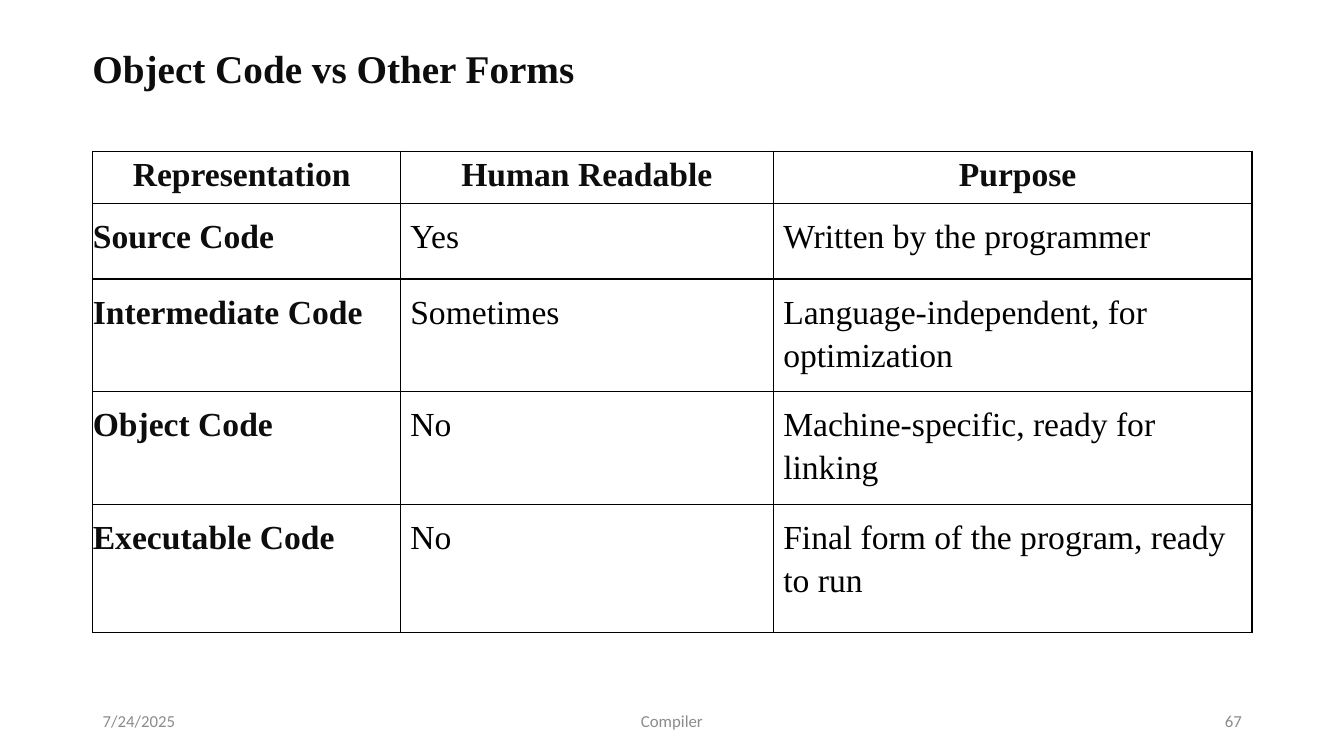
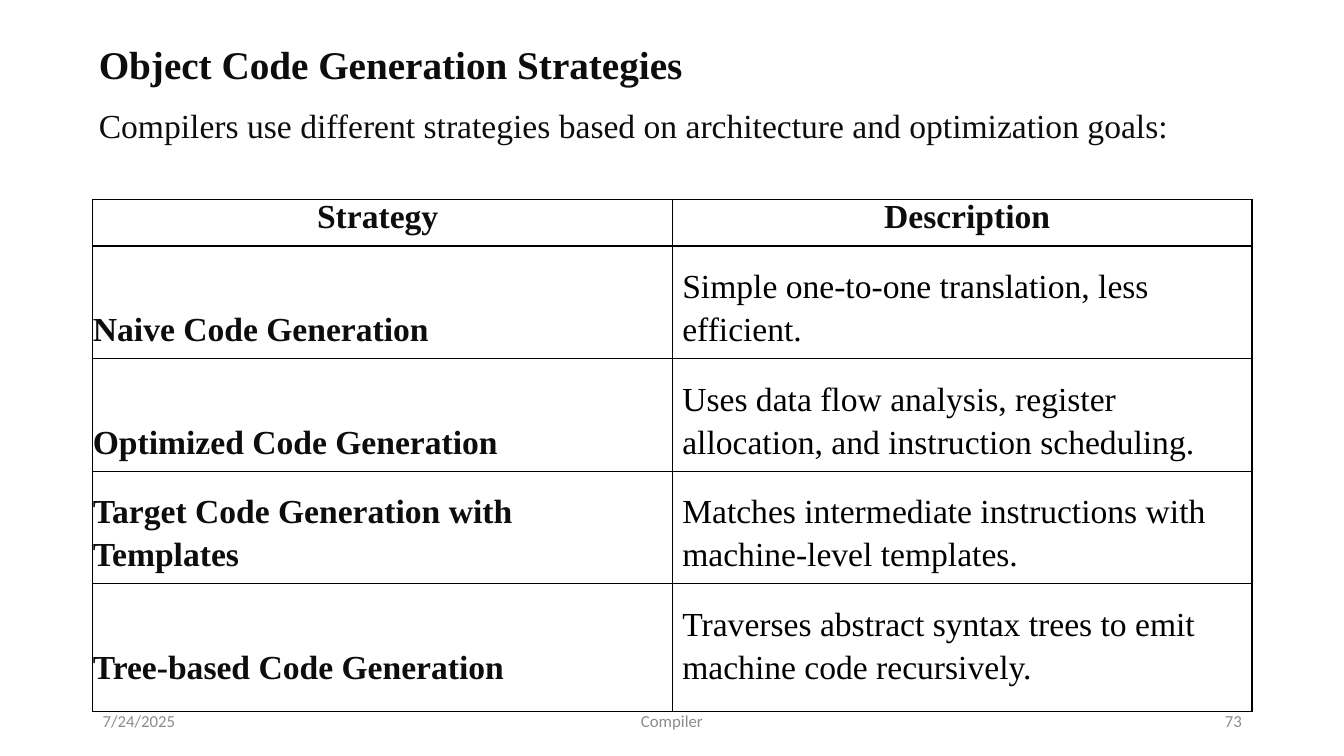
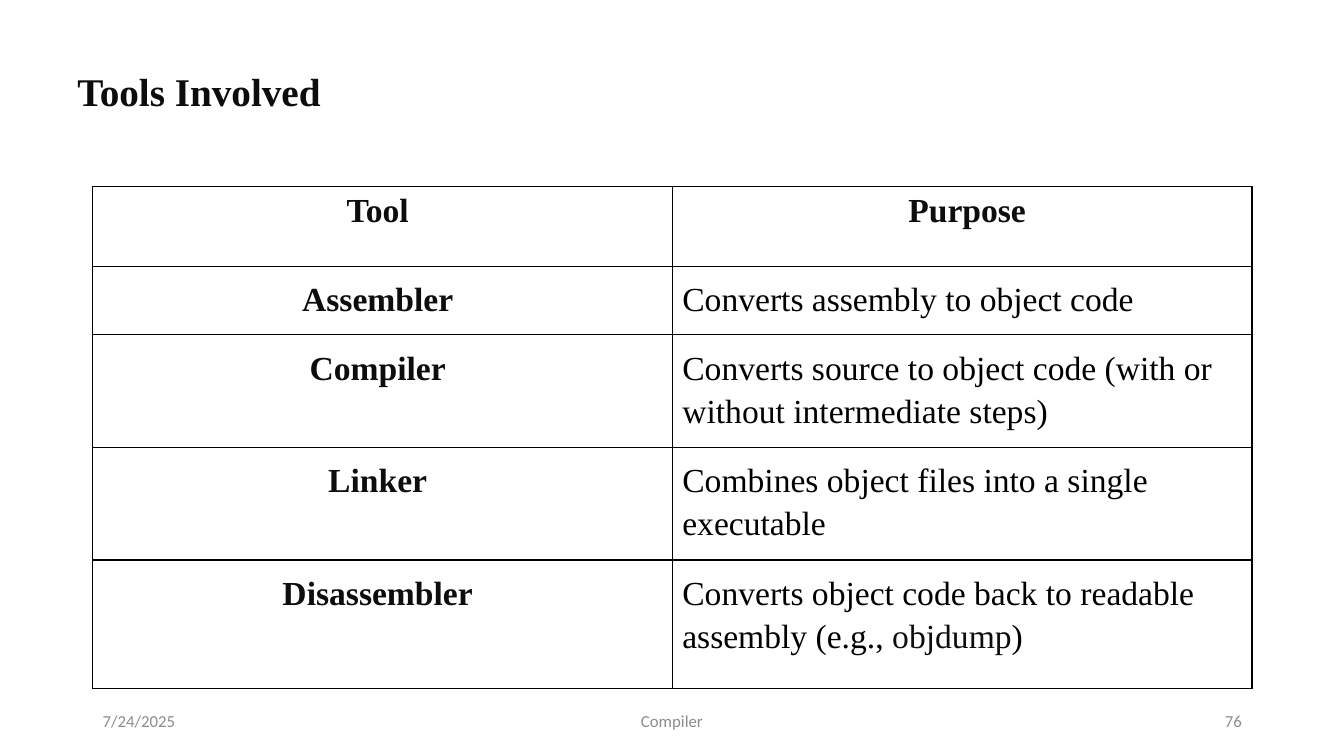
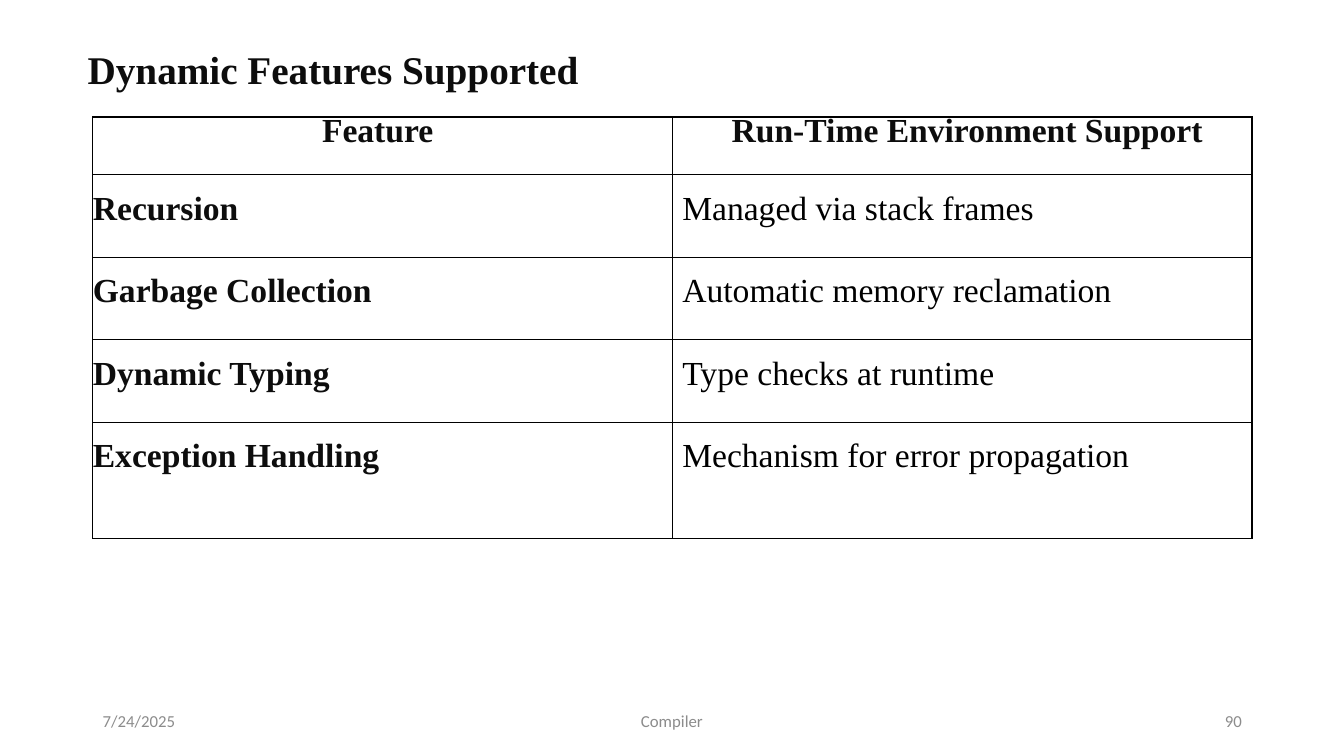
from dataclasses import dataclass
from typing import Any

from pptx import Presentation
from pptx import util as u
from pptx.dml.color import RGBColor
from pptx.enum import text
from pptx.oxml import parse_xml
from pptx.oxml.ns import nsdecls
from pptx.slide import Slide
from pptx.table import _Cell

# Shared look
INK = RGBColor(0x0D, 0x0D, 0x0D)
BLACK = RGBColor(0, 0, 0)
GREY = RGBColor(0x8C, 0x8C, 0x8C)
SERIF, SANS = "Times New Roman", "Calibri"
TOP, MIDDLE, BOTTOM = (text.MSO_ANCHOR.TOP, text.MSO_ANCHOR.MIDDLE,
                       text.MSO_ANCHOR.BOTTOM)
LEFT, CENTER, RIGHT = (text.PP_ALIGN.LEFT, text.PP_ALIGN.CENTER,
                       text.PP_ALIGN.RIGHT)

# Shared geometry, in centimetres
SLIDE_W, SLIDE_H = 33.87, 19.05
MARGIN = 2.34
TABLE_W = 29.21
PAD, LAST_PAD = 0.25, 0.64

# Text formats
TITLE = dict(size=u.Pt(28), name=SERIF, bold=True)
STRONG = dict(size=u.Pt(24), name=SERIF, bold=True)
PLAIN = dict(size=u.Pt(24), name=SERIF, bold=False)
FOOTER = dict(size=u.Pt(12), name=SANS, bold=False)
LOOSE = dict(line_spacing=1.15, space_after=u.Pt(8))
TIGHT = dict(line_spacing=u.Pt(12), space_after=u.Pt(8))


@dataclass
class Heading:
    box: tuple[float, float, float, float]
    title: str
    subtitle: str = ""
    spacing: dict[str, Any] | None = None


@dataclass
class Grid:
    top: float
    height: float
    cols: tuple[float, ...]
    rows: tuple[float, float, float]  # header, middle rows, last row
    cells: list[tuple[str, ...]]      # bars set off a word in ink colour
    head_anchor: Any = MIDDLE
    body_anchor: Any = TOP
    label_align: Any = LEFT


@dataclass
class Page:
    number: int
    heading: Heading
    grid: Grid


HALVES = (TABLE_W / 2, TABLE_W / 2)

PAGES = [
    Page(67, Heading((2.08, 0.99, 16.94, 1.45), "Object Code vs Other Forms"),
         Grid(3.81, 11.86, (7.75, 9.4, 12.06), (1.32, 1.9, 2.69), [
             ("Representation", "Human Readable", "Purpose"),
             ("Source Code", "Yes", "Written by the programmer"),
             ("Intermediate Code", "Sometimes",
              "Language-independent, for optimization"),
             ("Object Code", "No", "Machine-specific, ready for linking"),
             ("Executable Code", "No",
              "Final form of the program, ready to run"),
         ], head_anchor=BOTTOM)),
    Page(73, Heading((2.24, 0.71, 28.32, 3.02),
                     "Object Code Generation Strategies",
                     "Compilers use different strategies based on "
                     "architecture and optimization goals:", LOOSE),
         Grid(5.03, 12.52, HALVES, (1.17, 1.68, 2.36), [
             ("Strategy", "Description"),
             ("Naive Code Generation",
              "Simple one-to-one translation, less efficient."),
             ("Optimized Code Generation",
              "Uses data flow analysis, register allocation, "
              "and instruction scheduling."),
             ("Target Code Generation with Templates",
              "Matches intermediate instructions with "
              "machine-level templates."),
             ("Tree-based Code Generation",
              "Traverses abstract syntax trees to emit "
              "machine code recursively."),
         ], head_anchor=BOTTOM, body_anchor=BOTTOM)),
    Page(76, Heading((1.7, 1.4, 16.94, 1.55), "Tools Involved",
                     spacing=LOOSE),
         Grid(4.7, 12.32, HALVES, (2.01, 1.73, 2.44), [
             ("Tool", "Purpose"),
             ("Assembler", "Converts assembly to object code"),
             ("Compiler", "Converts source to object code "
                          "(with or without intermediate steps)"),
             ("Linker", "Combines object files into a single executable"),
             ("Disassembler", "Converts object code back to readable "
                              "assembly (e.g., |objdump|)"),
         ], label_align=CENTER)),
    Page(90, Heading((1.96, 1.02, 16.94, 1.45), "Dynamic Features Supported"),
         Grid(2.95, 10.62, HALVES, (1.45, 2.08, 2.92), [
             ("Feature", "Run-Time Environment Support"),
             ("Recursion", "Managed via stack frames"),
             ("Garbage Collection", "Automatic memory reclamation"),
             ("Dynamic Typing", "Type checks at runtime"),
             ("Exception Handling", "Mechanism for error propagation"),
         ])),
]


def apply(obj: Any, values: dict[str, Any]) -> None:
    for name, value in values.items():
        setattr(obj, name, value)


def write(p: Any, words: str, font: dict[str, Any], color: RGBColor,
          align: Any = LEFT, spacing: dict[str, Any] | None = None) -> None:
    apply(p, dict(alignment=align, **(spacing or {})))
    for i, part in enumerate(words.split("|")):
        r = p.add_run()
        r.text = part
        apply(r.font, font)
        r.font.color.rgb = INK if i % 2 else color


def add_text_frame(s: Slide, box: tuple[float, ...], **frame: Any) -> Any:
    tf = s.shapes.add_textbox(*map(u.Cm, box)).text_frame
    apply(tf, dict(word_wrap=True, **frame))
    return tf


def add_heading(s: Slide, h: Heading) -> None:
    tf = add_text_frame(s, h.box, auto_size=text.MSO_AUTO_SIZE.SHAPE_TO_FIT_TEXT)
    write(tf.paragraphs[0], h.title, TITLE, INK, spacing=h.spacing)
    if h.subtitle:
        write(tf.add_paragraph(), h.subtitle, PLAIN, INK, spacing=h.spacing)


def add_footer(s: Slide, number: int) -> None:
    side_w, mid_w = 7.62, 11.43
    items = [
        (MARGIN, side_w, "7/24/2025", LEFT),
        ((SLIDE_W - mid_w) / 2, mid_w, "Compiler", CENTER),
        (MARGIN + TABLE_W - side_w, side_w, str(number), RIGHT),
    ]
    for left, width, words, align in items:
        tf = add_text_frame(s, (left, 17.65, width, 1.02),
                            vertical_anchor=MIDDLE)
        write(tf.paragraphs[0], words, FOOTER, GREY, align)


def add_borders(cell: _Cell) -> None:
    cell.fill.background()
    tc_pr = cell._tc.get_or_add_tcPr()
    for i, side in enumerate("LRTB"):
        tc_pr.insert(i, parse_xml(
            f'<a:ln{side} {nsdecls("a")} w="{u.Pt(1)}"><a:solidFill>'
            f'<a:srgbClr val="{BLACK}"/></a:solidFill></a:ln{side}>'))


def add_grid(s: Slide, g: Grid) -> None:
    n_rows, n_cols = len(g.cells), len(g.cols)
    sp = s.shapes.add_table(n_rows, n_cols, u.Cm(MARGIN), u.Cm(g.top),
                            u.Cm(TABLE_W), u.Cm(g.height))
    table = sp.table
    apply(table, dict(first_row=False, horz_banding=False))
    for col, width in zip(table.columns, g.cols):
        col.width = u.Cm(width)
    head_h, mid_h, last_h = g.rows
    heights = [head_h] + [mid_h] * (n_rows - 2) + [last_h]
    for i, (row, height) in enumerate(zip(table.rows, heights)):
        row.height = u.Cm(height)
        head, last = i == 0, i == n_rows - 1
        for j, (cell, words) in enumerate(zip(row.cells, g.cells[i])):
            label = j == 0
            apply(cell, dict(
                # Outer edges of the table have no padding
                margin_left=u.Cm(0 if label else PAD),
                margin_right=u.Cm(0 if j == n_cols - 1 else PAD),
                margin_top=u.Cm(0 if head else PAD),
                margin_bottom=u.Cm(LAST_PAD if last else PAD),
                vertical_anchor=g.head_anchor if head else g.body_anchor))
            add_borders(cell)
            strong = head or label
            align = CENTER if head else g.label_align if label else LEFT
            write(cell.text_frame.paragraphs[0], words,
                  STRONG if strong else PLAIN, INK if strong else BLACK,
                  align, TIGHT if head else LOOSE)
    # Row heights reset the frame, so its height comes last
    sp.height = u.Cm(g.height)


def main() -> None:
    prs = Presentation()
    apply(prs, dict(slide_width=u.Cm(SLIDE_W), slide_height=u.Cm(SLIDE_H)))
    for page in PAGES:
        s = prs.slides.add_slide(prs.slide_layouts[6])
        add_heading(s, page.heading)
        add_grid(s, page.grid)
        add_footer(s, page.number)
    prs.save("out.pptx")


if __name__ == "__main__":
    main()
